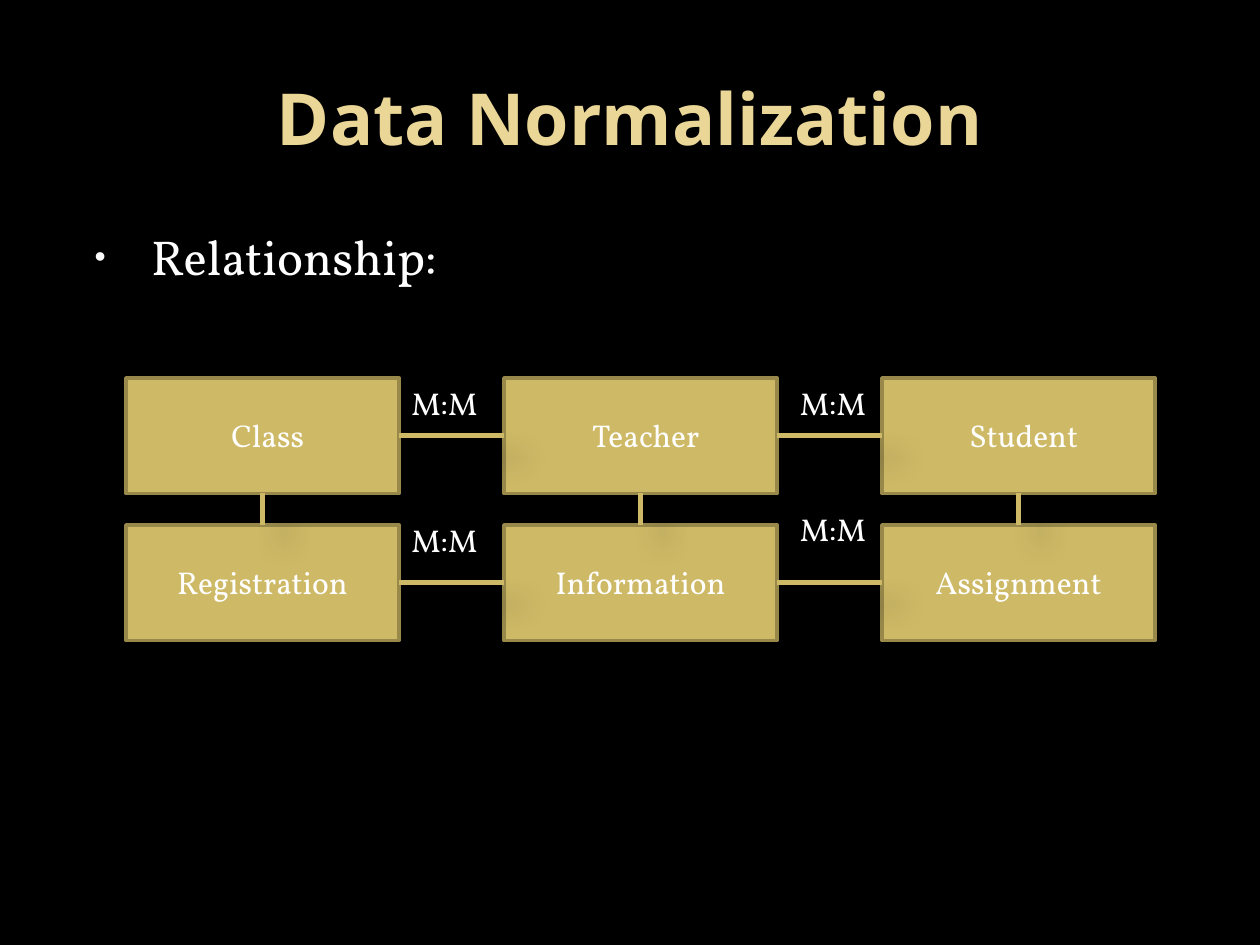
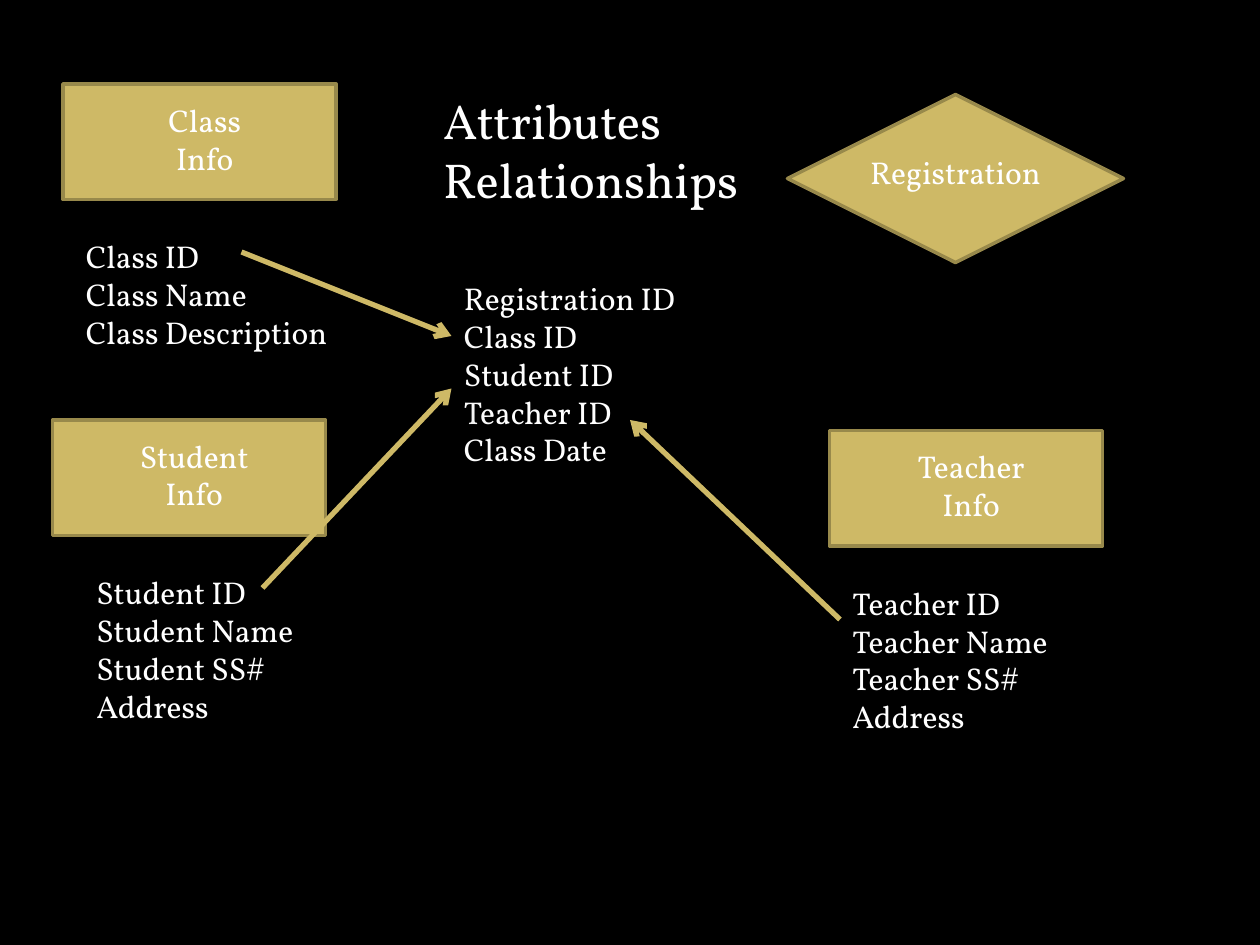
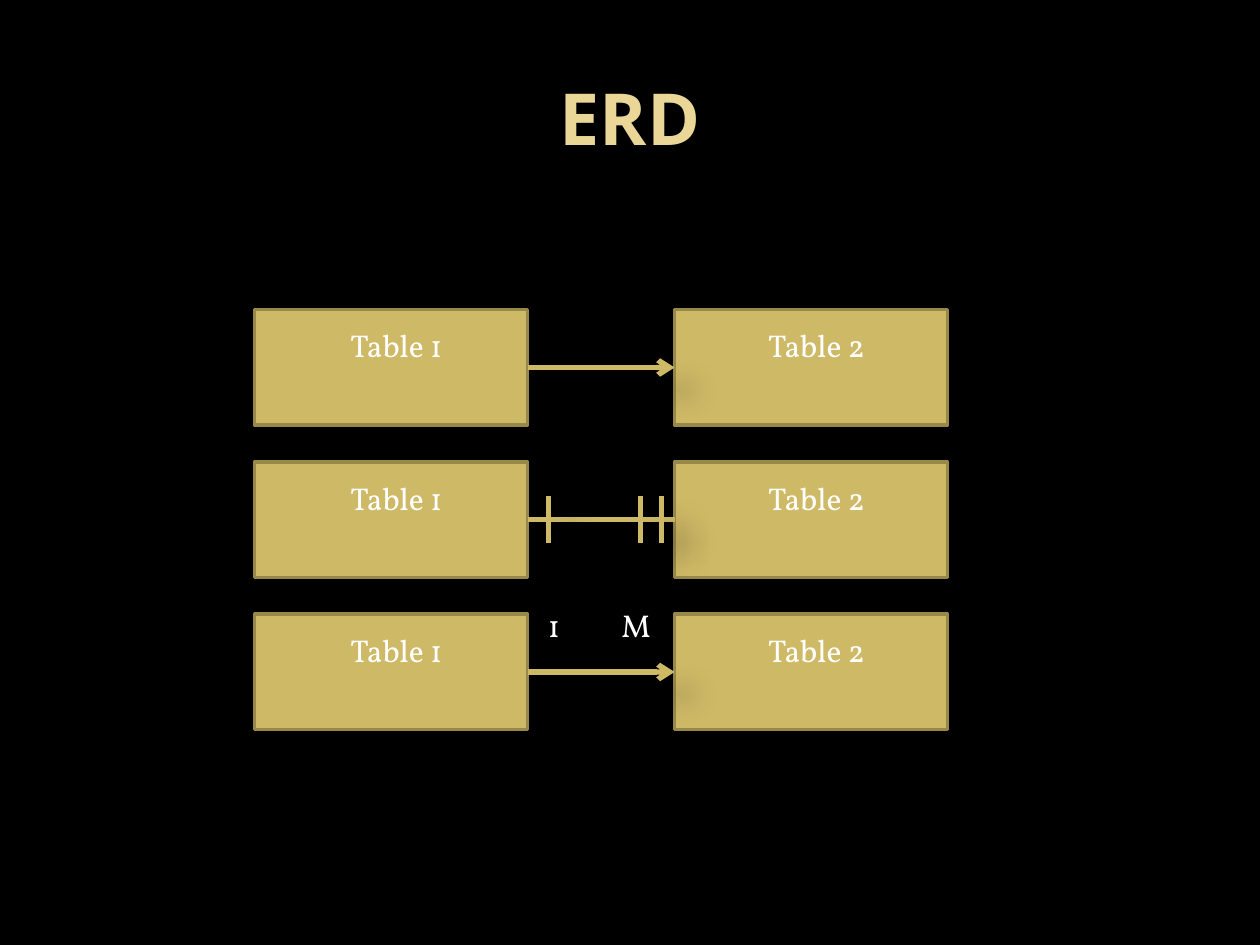
from lxml import etree
from pptx import Presentation
from pptx.dml.color import RGBColor
from pptx.enum.shapes import MSO_CONNECTOR, MSO_SHAPE
from pptx.enum.text import MSO_ANCHOR, MSO_AUTO_SIZE, PP_ALIGN
from pptx.oxml.ns import qn
from pptx.util import Inches, Pt

RECTANGLE, DIAMOND = MSO_SHAPE.RECTANGLE, MSO_SHAPE.DIAMOND
STRAIGHT = MSO_CONNECTOR.STRAIGHT
LEFT, CENTER = PP_ALIGN.LEFT, PP_ALIGN.CENTER
TOP, MIDDLE = MSO_ANCHOR.TOP, MSO_ANCHOR.MIDDLE

BLACK, WHITE, GOLD = "000000", "FFFFFF", "CEB966"
EDGE, TITLE_GOLD, BULLET = "98894B", "EAD696", "F9F9F9"
TITLE_FONT, TEXT_FONT = "Noto Sans", "Vollkorn"

# The slide is a grid of 120 columns by 90 rows; all lengths count grid cells
WIDTH, HEIGHT = Inches(10), Inches(7.5)
COLUMNS, ROWS = 120, 90
ENTITY_W, ENTITY_H = 26, 11
NARROW, WIDE = (7, 13), (2, 22)  # label inset and width inside an entity
TITLE_ONLY, TITLE_AND_BODY = 5, 1


def rgb(value):
    return RGBColor.from_string(value)


def cells(x, y):
    return round(WIDTH * x / COLUMNS), round(HEIGHT * y / ROWS)


def area(x, y, w, h):
    return *cells(x, y), *cells(w, h)


def write(frame, text, size=18, font=TEXT_FONT, color=WHITE, bold=False,
          align=LEFT, anchor=TOP):
    """Fill a text frame, one paragraph for each line of text."""
    frame.word_wrap = True
    frame.auto_size = MSO_AUTO_SIZE.NONE
    frame.vertical_anchor = anchor
    frame.text = text
    for paragraph in frame.paragraphs:
        paragraph.alignment = align
        style = paragraph.runs[0].font
        style.size, style.name, style.bold = Pt(size), font, bold
        style.color.rgb = rgb(color)


def label(slide, text, box, **style):
    write(slide.shapes.add_textbox(*area(*box)).text_frame, text, **style)


def place(placeholder, box, text, **style):
    (placeholder.left, placeholder.top,
     placeholder.width, placeholder.height) = area(*box)
    write(placeholder.text_frame, text, **style)


def title(slide, text):
    place(slide.shapes.title, (6, 3.6, 108, 15), text, size=41,
          font=TITLE_FONT, color=TITLE_GOLD, bold=True, align=CENTER,
          anchor=MIDDLE)


def bullet_list(slide, text, box):
    body = slide.placeholders[1]
    place(body, box, text, size=28)
    for paragraph in body.text_frame.paragraphs:
        props = paragraph._p.get_or_add_pPr()
        props.set("marL", str(Inches(0.6)))
        props.set("indent", str(-Inches(0.45)))
        color = etree.SubElement(props, qn("a:buClr"))
        etree.SubElement(color, qn("a:srgbClr"), val=BULLET)
        etree.SubElement(props, qn("a:buSzPct"), val="65000")
        etree.SubElement(props, qn("a:buChar"), char="•")


def entity(slide, name, x, y, w=ENTITY_W, h=ENTITY_H, kind=RECTANGLE,
           inset=NARROW, drop=1):
    """Draw a gold shape with its name set into it."""
    shape = slide.shapes.add_shape(kind, *area(x, y, w, h))
    shape.shadow.inherit = False
    shape.fill.solid()
    shape.fill.fore_color.rgb = rgb(GOLD)
    shape.line.color.rgb = rgb(EDGE)
    shape.line.width = Pt(2)
    indent, label_w = inset
    label(slide, name, (x + indent, y + drop, label_w, h - 2 * drop),
          align=CENTER)


def link(slide, start, end, arrow=False):
    """Draw a gold line with a soft shadow, with an arrowhead if asked."""
    line = slide.shapes.add_connector(STRAIGHT, *cells(*start), *cells(*end))
    line.line.color.rgb = rgb(GOLD)
    line.line.width = Pt(3)
    props = line._element.spPr
    if arrow:
        etree.SubElement(props.find(qn("a:ln")), qn("a:tailEnd"), type="arrow")
    effects = etree.SubElement(props, qn("a:effectLst"))
    shadow = etree.SubElement(
        effects, qn("a:outerShdw"), blurRad=str(Pt(15)), dist=str(Pt(18)),
        dir="2700000", algn="tl", rotWithShape="0")
    color = etree.SubElement(shadow, qn("a:srgbClr"), val=BLACK)
    etree.SubElement(color, qn("a:alpha"), val="26000")


def entity_grid(slide, x, y, names, step_x=36, step_y=14):
    """Draw rows of entities joined to their right and lower neighbours."""
    for r, row in enumerate(names):
        for c, name in enumerate(row):
            entity(slide, name, x + c * step_x, y + r * step_y, drop=3,
                   inset=WIDE if r else NARROW)
    for r, row in enumerate(names):
        for c in range(len(row)):
            left, top = x + c * step_x, y + r * step_y
            middle, center = top + ENTITY_H / 2, left + ENTITY_W / 2
            if c + 1 < len(row):
                link(slide, (left + ENTITY_W, middle), (left + step_x, middle))
            if r + 1 < len(names):
                link(slide, (center, top + ENTITY_H), (center, top + step_y))


def relationship_slide(slide):
    title(slide, "Data Normalization")
    bullet_list(slide, "Relationship:", (6, 21, 108, 10))
    entity_grid(slide, 12, 36, [("Class", "Teacher", "Student"),
                                ("Registration", "Information", "Assignment")])
    for x, y in ((75, 36), (38, 36), (38, 49), (75, 48)):
        label(slide, "M:M", (x, y, 9, 8.5))


def entity_with_attributes(slide, name, x, y, attributes, indent):
    """Draw an entity with its list of attributes below."""
    entity(slide, f"{name}\nInfo", x, y)
    label(slide, "\n".join(attributes),
          (x + indent, y + 14, 28, 4 * len(attributes)))


def attributes_slide(slide):
    place(slide.shapes.title, (41, 8, 31, 12.5), "Attributes\nRelationships",
          size=28)
    entity(slide, "Registration", 75, 9, w=32, h=16, kind=DIAMOND,
           inset=(6, 20), drop=5)

    # Source entities
    person = ("ID", "Name", "SS#")
    entity_with_attributes(slide, "Class", 6, 8, [
        "Class ID", "Class Name", "Class Description"], indent=1)
    for name, x, y, indent in (("Teacher", 79, 41, 1), ("Student", 5, 40, 3)):
        attributes = [f"{name} {part}" for part in person] + ["Address"]
        entity_with_attributes(slide, name, x, y, attributes, indent)

    # Registration attributes and the keys that feed them
    label(slide, "Registration ID\nClass ID\nStudent ID\nTeacher ID\nClass Date",
          (43, 26, 26, 19.5))
    for start, end in (((23, 24), (43, 32)),
                       ((80, 59), (60, 40)),
                       ((25, 56), (43, 37))):
        link(slide, start, end, arrow=True)


def table_pair(slide, x, y, arrow=False, ticks=(), cardinality=()):
    """Draw two linked tables, with tick marks or cardinality on the link."""
    second_x, middle = x + 40, y + ENTITY_H / 2
    entity(slide, "Table 2", second_x, y)
    entity(slide, "Table 1", x, y)
    link(slide, (x + ENTITY_W, middle), (second_x, middle), arrow)
    for tick in ticks:
        link(slide, (x + tick, middle - 2.25), (x + tick, middle + 2.25))
    for text, offset, width in cardinality:
        label(slide, text, (x + offset, y - 1.4, width, 4.8))


def erd_slide(slide):
    title(slide, "ERD")
    notations = [
        {"arrow": True},
        {"ticks": (28, 36.75, 38.75)},
        {"arrow": True, "cardinality": (("1", 26.75, 3), ("M", 33.75, 4.5))},
    ]
    for i, notation in enumerate(notations):
        table_pair(slide, 24.25, 29.5 + 14.5 * i, **notation)


def main():
    deck = Presentation()
    deck.slide_width, deck.slide_height = WIDTH, HEIGHT
    background = deck.slide_master.background.fill
    background.solid()
    background.fore_color.rgb = rgb(BLACK)
    for layout, build in ((TITLE_AND_BODY, relationship_slide),
                          (TITLE_ONLY, attributes_slide),
                          (TITLE_ONLY, erd_slide)):
        build(deck.slides.add_slide(deck.slide_layouts[layout]))
    deck.save("out.pptx")


if __name__ == "__main__":
    main()
